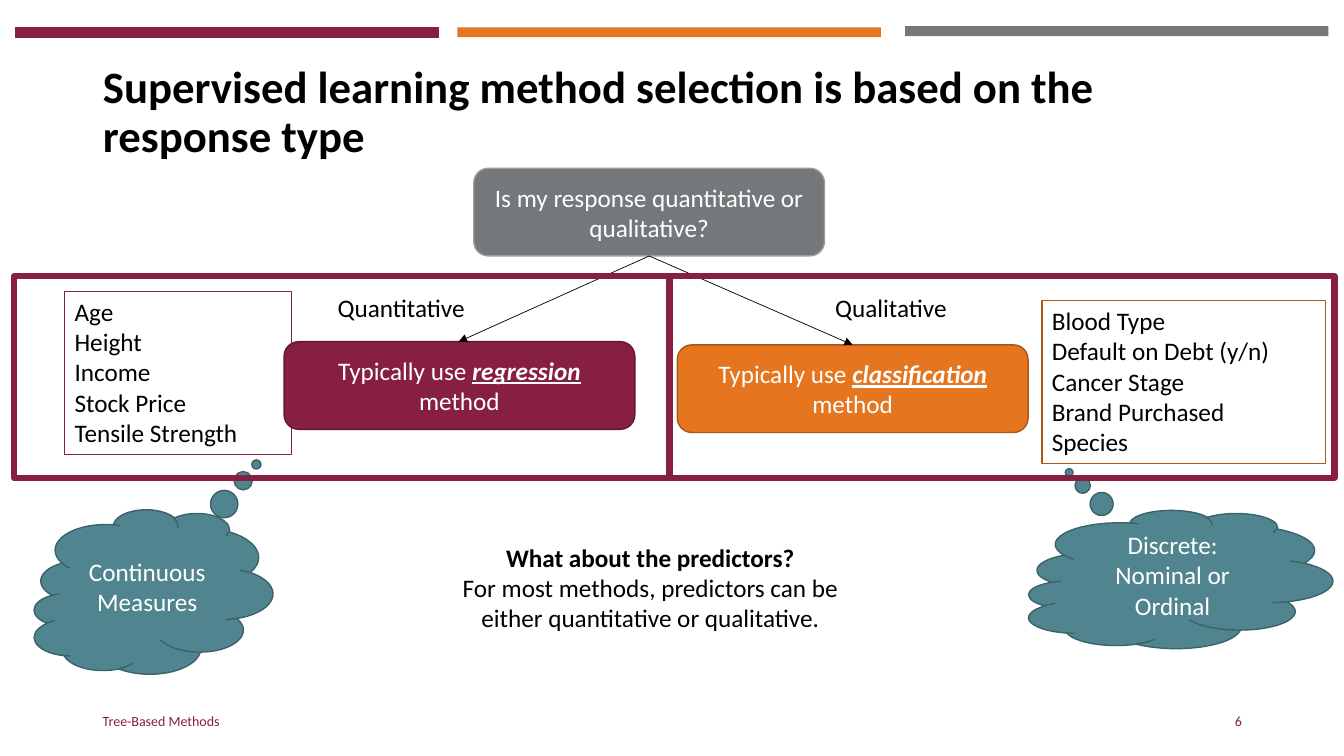
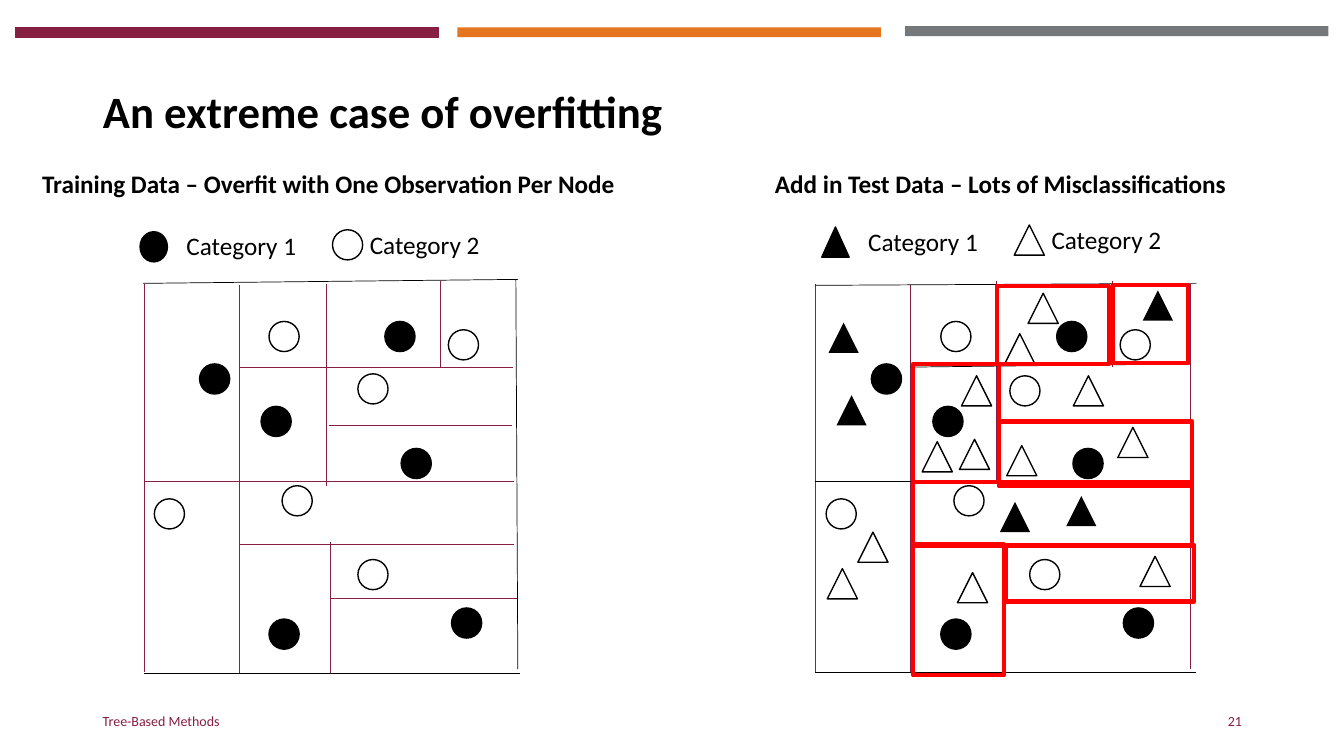
from lxml.etree import SubElement
from pptx import Presentation
from pptx.dml.color import RGBColor
from pptx.enum.shapes import MSO_CONNECTOR, MSO_SHAPE
from pptx.enum.text import MSO_ANCHOR, MSO_AUTO_SIZE, PP_ALIGN
from pptx.oxml.ns import qn
from pptx.util import Cm, Pt

FONT = "Calibri"
BLACK = RGBColor(0x00, 0x00, 0x00)
WHITE = RGBColor(0xFF, 0xFF, 0xFF)
MAROON = RGBColor(0x86, 0x1F, 0x41)
WINE = RGBColor(0x63, 0x17, 0x30)
ORANGE = RGBColor(0xE5, 0x75, 0x1F)
RUST = RGBColor(0xA9, 0x57, 0x17)
BROWN = RGBColor(0xAF, 0x57, 0x14)
GRAY = RGBColor(0x75, 0x78, 0x7B)
STONE = RGBColor(0x9F, 0x9B, 0x96)
TEAL = RGBColor(0x50, 0x85, 0x90)
SLATE = RGBColor(0x3B, 0x62, 0x6B)
RED = RGBColor(0xFF, 0x00, 0x00)

RECT = MSO_SHAPE.RECTANGLE
ROUND = MSO_SHAPE.ROUNDED_RECTANGLE
OVAL = MSO_SHAPE.OVAL
TRI = MSO_SHAPE.ISOSCELES_TRIANGLE
LEFT, MID, RIGHT = PP_ALIGN.LEFT, PP_ALIGN.CENTER, PP_ALIGN.RIGHT


def put(page, kind, x, y, w, h, fill=None, edge=None, pts=1):
    """Add a shape, or a straight line spanning w and h if kind is None."""
    if kind is None:
        item = page.shapes.add_connector(
            MSO_CONNECTOR.STRAIGHT, Cm(x), Cm(y), Cm(x + w), Cm(y + h))
    else:
        item = page.shapes.add_shape(kind, Cm(x), Cm(y), Cm(w), Cm(h))
        if fill is None:
            item.fill.background()
        else:
            item.fill.solid()
            item.fill.fore_color.rgb = fill
    if edge is None:
        item.line.fill.background()
    else:
        item.line.color.rgb = edge
        item.line.width = Pt(pts)
    if kind is None:
        SubElement(item.element.spPr, qn("a:effectLst"))
    else:
        item.shadow.inherit = False
    return item


def say(item, text, color=BLACK, size=18, bold=False, align=LEFT,
        anchor=MSO_ANCHOR.TOP):
    """Format the text of a shape, setting it first unless text is None."""
    frame = item.text_frame
    if text is not None:
        frame.text = text
    frame.word_wrap = True
    frame.auto_size = MSO_AUTO_SIZE.NONE
    frame.vertical_anchor = anchor
    for para in frame.paragraphs:
        para.alignment = align
        for run in para.runs:
            run.font.name = FONT
            run.font.size = Pt(size)
            run.font.bold = bold
            run.font.color.rgb = color
    return frame


deck = Presentation()
deck.slide_width, deck.slide_height = Cm(33.87), Cm(19.05)
plan = deck.slide_layouts[5]

# Shared title place
head = plan.placeholders[0]
head.left, head.top, head.width, head.height = (
    Cm(2.34), Cm(1.02), Cm(29.21), Cm(3.68))

# Slides with title, footer and number
pages = []
for title, num in (
        ("Supervised learning method selection is based on the response type",
         "6"),
        ("An extreme case of overfitting", "21")):
    page = deck.slides.add_slide(plan)
    frame = say(page.shapes.title, title, size=32, bold=True,
                anchor=MSO_ANCHOR.MIDDLE)
    frame.paragraphs[0].line_spacing = 0.9
    for x, w, text, align in ((2.34, 11.43, "Tree-Based Methods", LEFT),
                              (23.93, 7.62, num, RIGHT)):
        note = page.shapes.add_textbox(Cm(x), Cm(17.65), Cm(w), Cm(1.02))
        say(note, text, MAROON, 10, align=align, anchor=MSO_ANCHOR.MIDDLE)
    pages.append(page)
tree, fit = pages

# Top bands, moved to the layout
for x, y, fill, edge in ((0.38, 0.69, MAROON, MAROON),
                         (11.53, 0.69, ORANGE, None),
                         (22.81, 0.66, GRAY, None)):
    band = put(tree, RECT, x, y, 10.67, 0.25, fill, edge, 0.75)
    plan.shapes.element.append(band.element)

# Decision boxes
ask = put(tree, ROUND, 11.94, 4.24, 8.84, 2.21, GRAY, STONE)
say(ask, "Is my response quantitative or qualitative?", WHITE,
    align=MID, anchor=MSO_ANCHOR.MIDDLE)
for x, y, fill, edge, word in (
        (7.16, 8.61, MAROON, WINE, "regression"),
        (17.07, 8.69, ORANGE, RUST, "classification")):
    box = put(tree, ROUND, x, y, 8.84, 2.21, fill, edge)
    para = box.text_frame.paragraphs[0]
    for part in ("Typically use ", word, " method"):
        para.add_run().text = part
    say(box, None, WHITE, align=MID, anchor=MSO_ANCHOR.MIDDLE)
    font = para.runs[1].font
    font.bold = font.italic = font.underline = True

# Arrows and branch labels
for w, h in ((-4.8, 2.16), (5.13, 2.24)):
    arrow = put(tree, None, 16.36, 6.45, w, h, edge=BLACK, pts=0.5)
    SubElement(arrow.element.spPr.find(qn("a:ln")), qn("a:tailEnd"),
               type="triangle")
for x, text in ((8.26, "Quantitative"), (20.8, "Qualitative")):
    say(tree.shapes.add_textbox(Cm(x), Cm(7.24), Cm(5.21), Cm(1.02)), text)

# Example lists
for x, y, w, edge, rows in (
        (1.63, 7.34, 5.72, MAROON,
         ("Age", "Height", "Income", "Stock Price", "Tensile Strength")),
        (26.26, 7.57, 7.14, BROWN,
         ("Blood Type", "Default on Debt (y/n)", "Cancer Stage",
          "Brand Purchased", "Species"))):
    say(put(tree, RECT, x, y, w, 4.11, edge=edge, pts=0.75), "\n".join(rows))

# Note on predictors
note = tree.shapes.add_textbox(Cm(7.92), Cm(13.54), Cm(16.94), Cm(2.57))
frame = say(note, "What about the predictors?\n"
            "For most methods, predictors can be\n"
            "either quantitative or qualitative.", align=MID)
frame.paragraphs[0].runs[0].font.bold = True

# Thought clouds, turned on their side with upright text
for x, y, w, h, tip, text in (
        (1.78, 11.91, 4.14, 6.02, (-0.777, 0.434), "Continuous Measures"),
        (27.99, 10.77, 3.48, 7.67, (-0.775, -0.363),
         "Discrete:\vNominal or Ordinal")):
    cloud = put(tree, MSO_SHAPE.CLOUD_CALLOUT, x, y, w, h, TEAL, SLATE)
    cloud.adjustments[0], cloud.adjustments[1] = tip
    cloud.rotation = 270
    cloud.element.spPr.find(qn("a:xfrm")).set("flipH", "1")
    frame = say(cloud, text, WHITE, align=MID, anchor=MSO_ANCHOR.MIDDLE)
    cloud.element.txBody.find(qn("a:bodyPr")).set("vert", "vert")

# Frames around the two branches
for x, w in ((0.36, 16.51), (16.87, 16.76)):
    put(tree, RECT, x, 6.96, w, 5.08, edge=MAROON, pts=4.5)

# Panel heads and keys
DOT = 0.76
for x, w, text in (
        (0.81, 17.81, "Training Data – Overfit with One Observation Per Node"),
        (19.28, 14.3, "Add in Test Data – Lots of Misclassifications")):
    say(fit.shapes.add_textbox(Cm(x), Cm(4.11), Cm(w), Cm(1.02)), text,
        bold=True)
for kind, dx, dy in ((OVAL, 0, 0), (TRI, 17.18, -0.12)):
    put(fit, kind, 3.53 + dx, 5.84 + dy, 0.69, DOT, BLACK, BLACK)
    put(fit, kind, 8.38 + dx, 5.79 + dy, DOT, DOT, None, BLACK)
    for x, y, text in ((4.45, 5.69, "Category 1"), (9.07, 5.66, "Category 2")):
        key = fit.shapes.add_textbox(Cm(x + dx), Cm(y + dy), Cm(5), Cm(1.02))
        say(key, text)

# Training points and splits that both panels share
SHIFT = 16.93
full = ((5.03, 9.17), (9.7, 8.1), (6.58, 10.24), (6.78, 15.6),
        (10.11, 11.3), (11.38, 15.32))
bare = ((6.78, 8.1), (3.89, 12.57), (7.11, 12.24), (11.3, 8.31),
        (9.02, 14.1))
cuts = ((3.63, 7.16, 9.78), (11.1, 7.09, 2.16), (6.02, 7.19, 9.78))
for dx in (0, SHIFT):
    for spots, fill in ((full, BLACK), (bare, None)):
        for x, y in spots:
            put(fit, OVAL, x + dx, y, DOT, DOT, fill, BLACK)
    for x, y, h in cuts:
        put(fit, None, x + dx, y, 0, h, edge=MAROON, pts=0.5)
for x, y in ((9.02, 9.42), (25.45, 9.47)):
    put(fit, OVAL, x, y, DOT, DOT, None, BLACK)

# Splits of one panel only: left, then right
wine = ((8.23, 7.16, 0, 5.08), (3.63, 12.14, 9.32, 0), (6.02, 9.25, 6.91, 0),
        (6.05, 13.72, 6.91, 0), (8.28, 10.72, 4.62, 0),
        (8.33, 15.09, 4.7, 0), (8.33, 13.67, 0, 3.3),
        (30, 7.16, 0, 9.7), (25.32, 15.16, 4.7, 0), (25.1, 7.09, 0, 5.08),
        (25.32, 13.77, 0, 3.3))
dark = ((3.61, 7.14, 9.45, -0.1), (3.63, 16.97, 9.47, 0),
        (13, 7.06, 0.05, 9.8),
        (20.55, 12.14, 9.32, 0), (22.94, 9.25, 7.06, -0.08),
        (22.96, 13.72, 7.06, 0.05), (25.17, 10.64, 4.78, 0),
        (20.55, 7.19, 9.6, -0.05), (20.55, 16.94, 9.6, 0))
for lines, edge in ((wine, MAROON), (dark, BLACK)):
    for x, y, w, h in lines:
        put(fit, None, x, y, w, h, edge=edge, pts=0.5)

# Test points
full = ((21.08, 9.96), (20.88, 8.13), (28.8, 7.32), (25.2, 12.65),
        (26.87, 12.5))
bare = ((28.73, 14.02), (25.32, 8.41), (24.13, 14.43), (25.91, 7.39),
        (20.85, 14.33), (21.62, 13.41), (25.37, 11.23), (28.17, 10.77),
        (27.05, 9.47), (24.23, 9.47), (24.18, 11.07), (23.24, 11.13))
for spots, fill, edge in ((full, BLACK, None), (bare, None, BLACK)):
    for x, y in spots:
        put(fit, TRI, x, y, DOT, DOT, fill, edge)

# Nodes with errors
for x, y, w, h in (
        (28.04, 7.19, 1.91, 1.96), (25.12, 7.21, 2.82, 1.96),
        (23.01, 9.17, 2.16, 2.97), (25.17, 10.62, 4.88, 1.63),
        (23.01, 12.14, 7.04, 1.63), (23.01, 13.72, 2.29, 3.3),
        (25.35, 13.74, 4.75, 1.42)):
    put(fit, RECT, x, y, w, h, edge=RED, pts=3)

deck.save("out.pptx")
